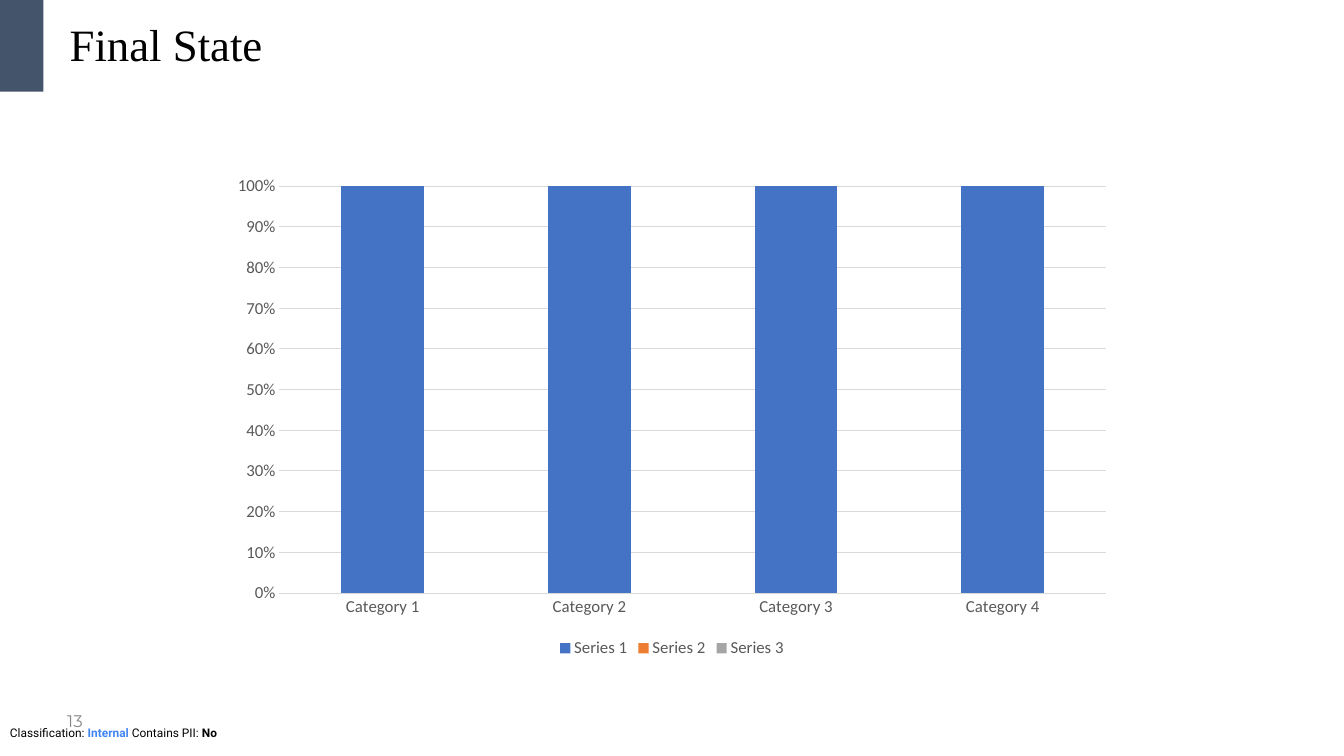
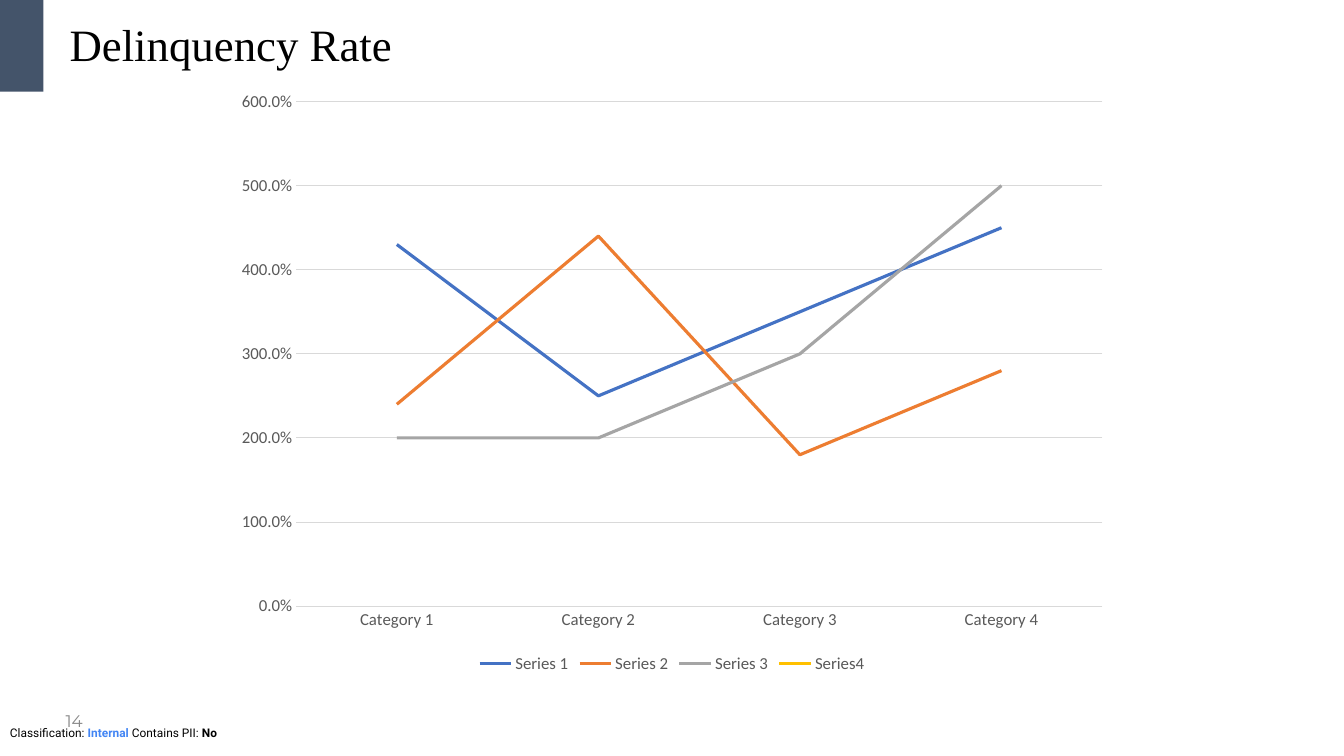
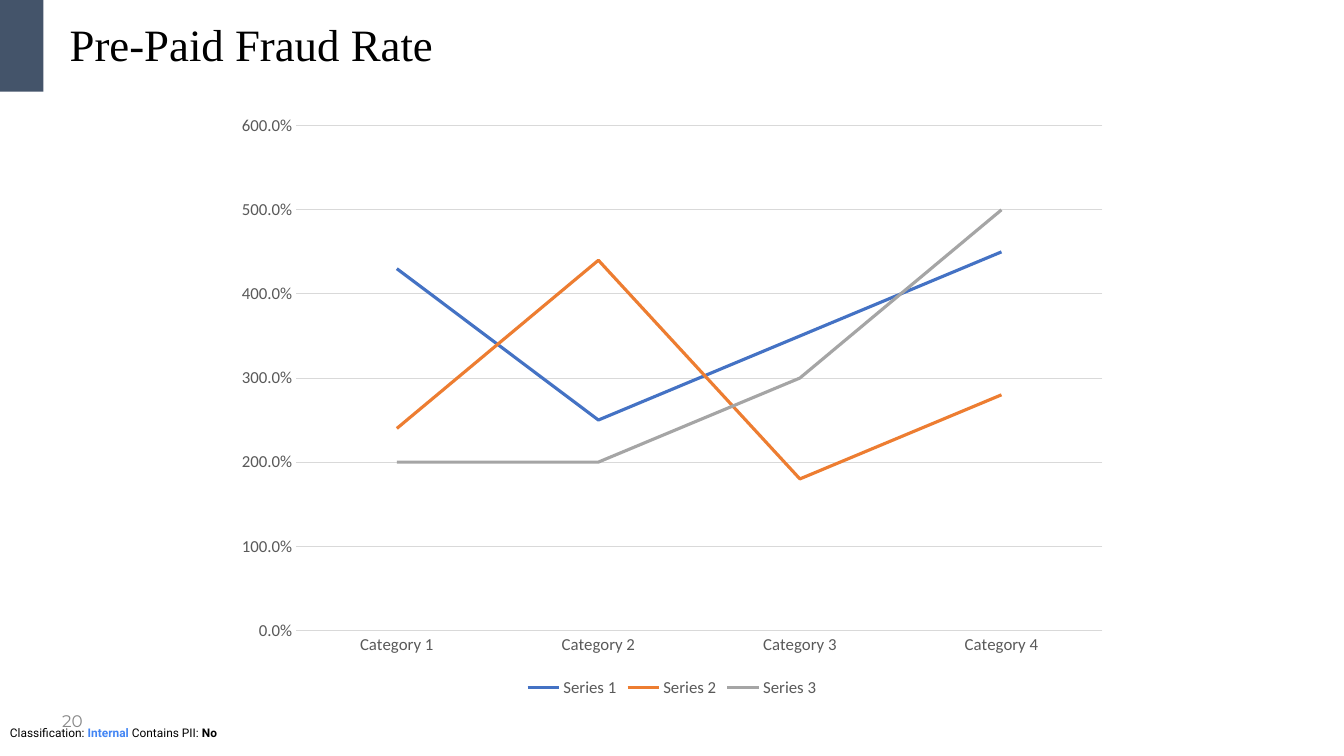
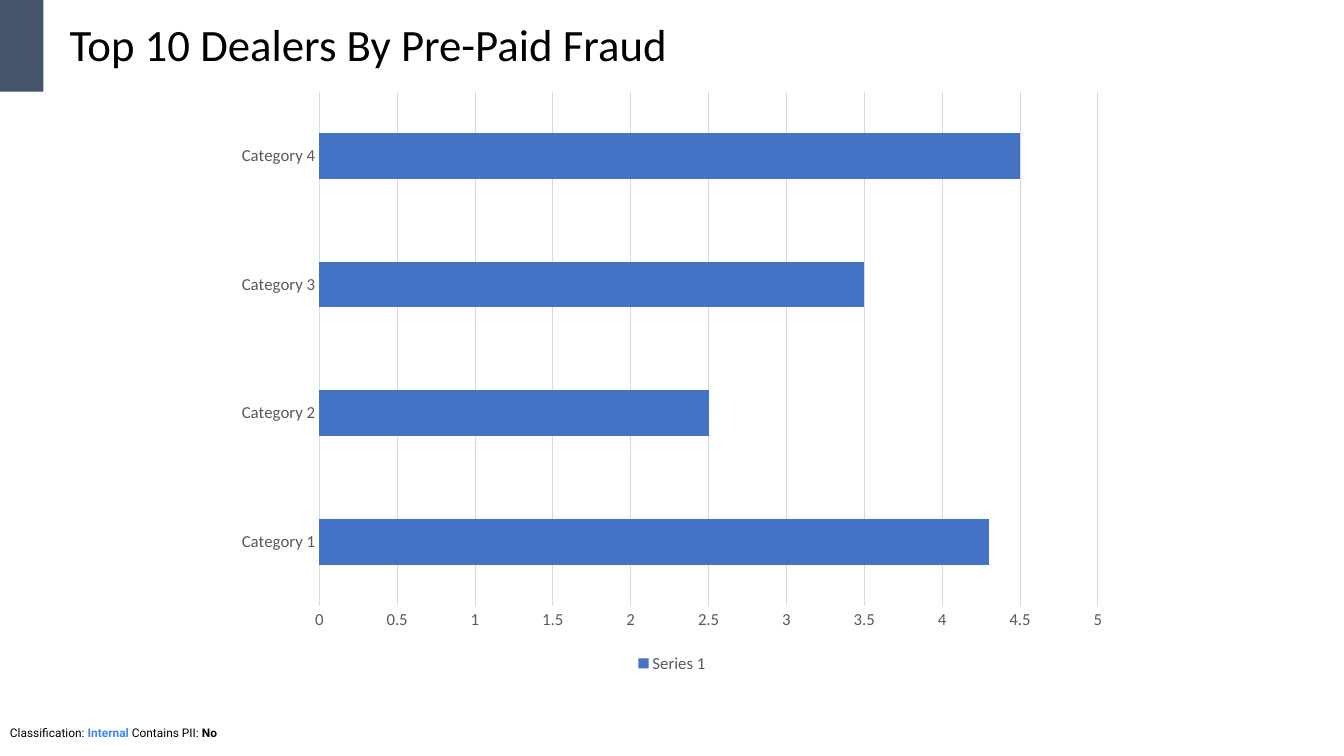
from pptx import Presentation
from pptx import util as u
from pptx.chart.data import CategoryChartData
from pptx.dml.color import RGBColor
from pptx.enum import chart as ch, shapes, text

INK, BAND, LINK, GREY, NUM, RULE = "000000", "44546A", "4285F4", "595959", "888888", "D9D9D9"
HUES = ["4472C4", "ED7D31", "A5A5A5", "FFC000"]
SERIF, SANS = "Times New Roman", "Calibri"

CATS = [f"Category {n}" for n in range(1, 5)]
ROWS = [
    ("Series 1", (4.3, 2.5, 3.5, 4.5)),
    ("Series 2", (2.4, 4.4, 1.8, 2.8)),
    ("Series 3", (2, 2, 3, 5)),
]
BLANK = ("Series4", (None,) * 4)
FOOT = [
    ("Classification: ", INK, False),
    ("Internal", LINK, True),
    (" Contains PII: ", INK, False),
    ("No", INK, True),
]
KIND = ch.XL_CHART_TYPE
STACK = dict(kind=KIND.COLUMN_STACKED, top=1, step=0.1, fmt="0%",
             plot=dict(gap_width=150, overlap=100))
LINE = dict(kind=KIND.LINE, top=6, step=1, fmt="0.0%", plot={})
BAR = dict(kind=KIND.BAR_CLUSTERED, top=5, step=0.5, fmt="General",
           plot=dict(gap_width=182))
PAGES = [
    ("Final State", SERIF, "13", STACK, ROWS, (2.18, 1.65, 8.97, 4.92)),
    ("Delinquency Rate", SERIF, "14", LINE, ROWS + [BLANK], (2.22, 0.79, 8.89, 5.93)),
    ("Pre-Paid Fraud Rate", SERIF, "20", LINE, ROWS, (2.22, 1.03, 8.89, 5.93)),
    ("Top 10 Dealers By Pre-Paid Fraud", SANS, None, BAR, ROWS[:1], (2.22, 0.79, 8.89, 5.93)),
]


def rgb(code):
    return RGBColor.from_string(code)


def put(item, **vals):
    for key, val in vals.items():
        setattr(item, key, val)


def box(*nums):
    return [u.Inches(n) for n in nums]


def style(font, name, size, hue, bold=False):
    put(font, name=name, size=u.Pt(size), bold=bold)
    font.color.rgb = rgb(hue)


def rule(line, hue, width):
    line.color.rgb = rgb(hue)
    line.width = u.Pt(width)


def write(frame, runs, name, size, **form):
    put(frame, word_wrap=True, auto_size=text.MSO_AUTO_SIZE.NONE,
        vertical_anchor=text.MSO_ANCHOR.MIDDLE)
    para = frame.paragraphs[0]
    put(para, **form)
    for words, hue, bold in runs:
        run = para.add_run()
        run.text = words
        style(run.font, name, size, hue, bold)


def frame(slide, layout):
    foot = slide.shapes.add_textbox(*box(0, 7.15, 13.33, 0.24))
    write(foot.text_frame, FOOT, "Roboto", 8.5)
    band = slide.shapes.add_shape(shapes.MSO_SHAPE.RECTANGLE, *box(0, 0, 0.43, 0.91))
    band.shadow.inherit = False
    band.fill.solid()
    band.fill.fore_color.rgb = rgb(BAND)
    band.line.fill.background()
    for part in (foot, band):
        layout.shapes.element.append(part.element)


def head(slide, words, font):
    title = slide.shapes.title
    left, top, width, height = box(0.59, 0.11, 11.57, 0.72)
    put(title, left=left, top=top, width=width, height=height)
    write(title.text_frame, [(words, INK, False)], font, 32,
          alignment=text.PP_ALIGN.LEFT, line_spacing=0.9)


def number(slide, page):
    spot = slide.shapes.add_textbox(*box(0.49, 6.95, 0.43, 0.4))
    write(spot.text_frame, [(page, NUM, False)], "Montserrat", 12,
          alignment=text.PP_ALIGN.RIGHT)


def graph(slide, look, rows, place):
    data = CategoryChartData()
    data.categories = CATS
    for name, vals in rows:
        data.add_series(name, vals)
    chart = slide.shapes.add_chart(look["kind"], *box(*place), data).chart
    put(chart, has_title=False, has_legend=True)
    style(chart.font, SANS, 10, INK)
    put(chart.legend, position=ch.XL_LEGEND_POSITION.BOTTOM, include_in_layout=False)
    style(chart.legend.font, SANS, 12, GREY)

    cat, val = chart.category_axis, chart.value_axis
    for axis in (cat, val):
        put(axis, major_tick_mark=ch.XL_TICK_MARK.NONE, minor_tick_mark=ch.XL_TICK_MARK.NONE)
        style(axis.tick_labels.font, SANS, 12, GREY)
    cat.has_major_gridlines = False
    rule(cat.format.line, RULE, 0.75)
    put(val, minimum_scale=0, maximum_scale=look["top"], major_unit=look["step"],
        has_major_gridlines=True)
    put(val.tick_labels, number_format=look["fmt"], number_format_is_linked=False)
    val.format.line.fill.background()
    rule(val.major_gridlines.format.line, RULE, 0.75)

    plot = chart.plots[0]
    put(plot, vary_by_categories=False, **look["plot"])
    for row, hue in zip(plot.series, HUES):
        if look["kind"] == KIND.LINE:
            row.smooth = False
            row.marker.style = ch.XL_MARKER_STYLE.NONE
            rule(row.format.line, hue, 2.25)
        else:
            row.format.fill.solid()
            row.format.fill.fore_color.rgb = rgb(hue)


def main():
    deck = Presentation()
    put(deck, slide_width=u.Inches(13.33), slide_height=u.Inches(7.5))
    layout = deck.slide_layouts.get_by_name("Title Only")
    for words, font, page, look, rows, place in PAGES:
        slide = deck.slides.add_slide(layout)
        if len(deck.slides) == 1:
            frame(slide, layout)
        head(slide, words, font)
        if page:
            number(slide, page)
        graph(slide, look, rows, place)
    deck.save("out.pptx")


if __name__ == "__main__":
    main()
